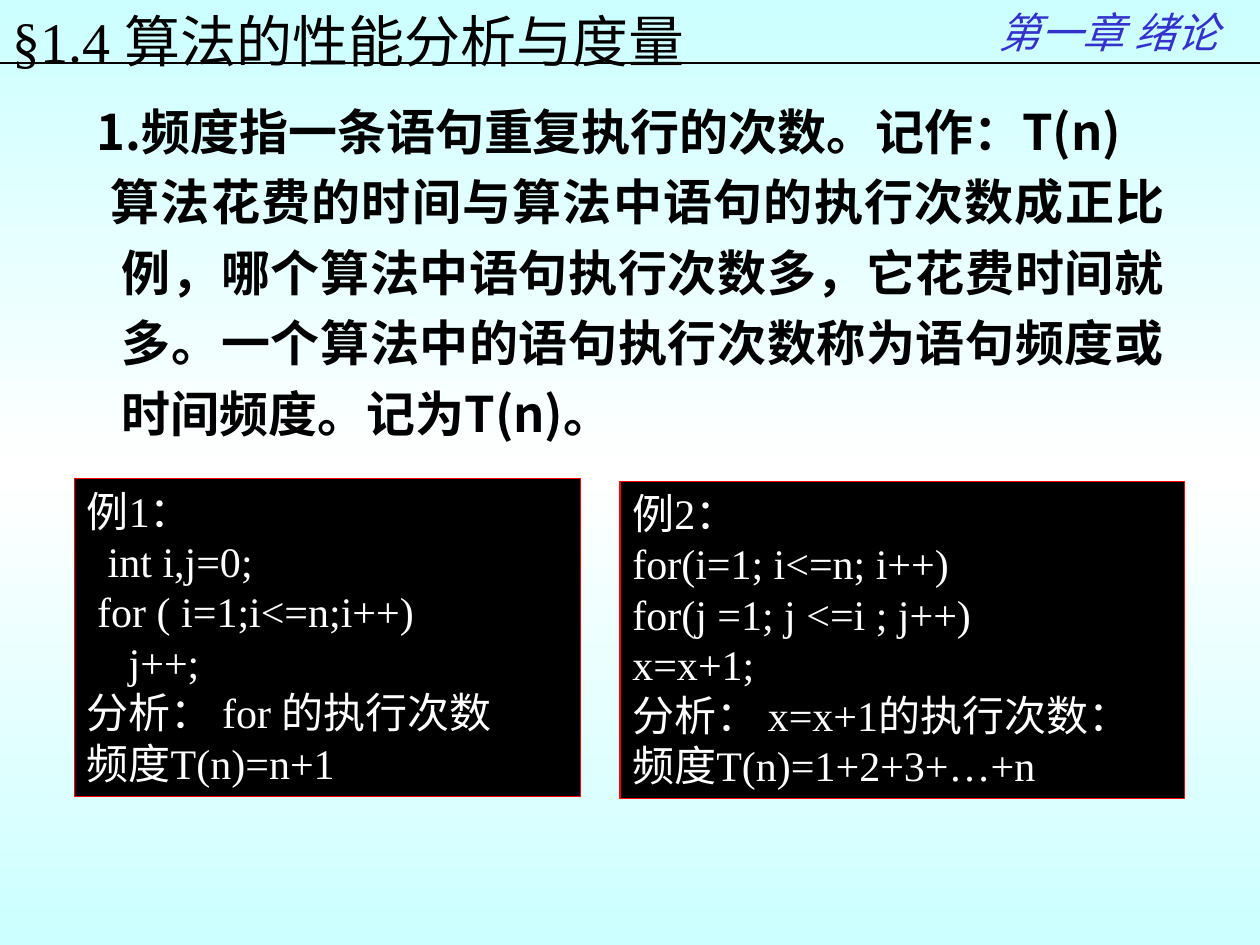
from copy import deepcopy

from lxml.etree import SubElement
from pptx import Presentation
from pptx.dml.color import RGBColor
from pptx.enum.shapes import MSO_CONNECTOR, MSO_SHAPE
from pptx.enum.text import MSO_ANCHOR, MSO_AUTO_SIZE, PP_ALIGN
from pptx.oxml.ns import qn
from pptx.util import Inches, Pt


def color(value):
    return RGBColor.from_string(value)


class Lecture:
    latin = "Times New Roman"
    asian = "Noto Sans CJK SC"
    black, white, red, blue, sky = "000000", "FFFFFF", "FF0000", "3333CC", "CCFFFF"
    columns, rows = 100, 75

    def __init__(self):
        self.deck = Presentation()
        self.deck.slide_width, self.deck.slide_height = Inches(10), Inches(7.5)
        self.page = self.deck.slides.add_slide(self.deck.slide_layouts[6])

    def place(self, left, top, width, height):
        column = self.deck.slide_width / self.columns
        row = self.deck.slide_height / self.rows
        return [round(length) for length in
                (left * column, top * row, width * column, height * row)]

    def background(self):
        fill = self.page.background.fill
        fill.gradient()
        fill.gradient_angle = 90
        stops = self.page._element.find(".//" + qn("a:gsLst"))
        stops.append(deepcopy(stops[0]))
        for stop, position, shade in zip(
                fill.gradient_stops, (0, 0.5, 1), (self.sky, self.white, self.sky)):
            stop.position = position
            stop.color.rgb = color(shade)

    def rule(self, row):
        left, top, width, _ = self.place(0, row, self.columns, 0)
        line = self.page.shapes.add_connector(
            MSO_CONNECTOR.STRAIGHT, left, top, left + width, top)
        line.line.color.rgb = color(self.black)
        line.line.width = Pt(0.75)
        SubElement(line._element.spPr, qn("a:effectLst"))

    def set_lines(self, box, lines, size, shade, font=None, bold=False, italic=False, wrap=True):
        frame = box.text_frame
        frame.word_wrap = wrap
        frame.auto_size = MSO_AUTO_SIZE.SHAPE_TO_FIT_TEXT
        frame.vertical_anchor = MSO_ANCHOR.TOP
        for index, line in enumerate(lines):
            para = frame.add_paragraph() if index else frame.paragraphs[0]
            para.text = line
            para.alignment = PP_ALIGN.LEFT
            para.font.name = font or self.latin
            para.font.size = Pt(size)
            para.font.bold = bold
            para.font.italic = italic
            para.font.color.rgb = color(shade)
            defaults = para._p.pPr.find(qn("a:defRPr"))
            SubElement(defaults, qn("a:ea"), typeface=self.asian)
        return frame.paragraphs

    def text(self, area, lines, size, shade, **style):
        box = self.page.shapes.add_textbox(*self.place(*area))
        return self.set_lines(box, lines, size, shade, **style)

    def definition(self, area, numbered, explained):
        paras = self.text(area, [numbered, explained], 28, self.black,
                          font=self.asian, bold=True)
        for para, first_line in zip(paras, (-0.2, -0.09)):
            para.line_spacing = 1.2
            para._p.pPr.set("marL", str(Inches(0.2)))
            para._p.pPr.set("indent", str(Inches(first_line)))
        paras[1].alignment = PP_ALIGN.JUSTIFY
        properties = paras[0]._p.pPr
        number = SubElement(properties, qn("a:buAutoNum"), type="arabicPeriod")
        properties.find(qn("a:defRPr")).addprevious(number)

    def example(self, area, lines):
        panel = self.page.shapes.add_shape(MSO_SHAPE.RECTANGLE, *self.place(*area))
        panel.shadow.inherit = False
        panel.fill.solid()
        panel.fill.fore_color.rgb = color(self.black)
        panel.line.color.rgb = color(self.red)
        panel.line.width = Pt(0.75)
        self.set_lines(panel, lines, 24, self.white)


def main():
    lecture = Lecture()
    lecture.background()
    lecture.rule(5)
    lecture.text((78.3, 0, 21.7, 5), ["第一章 绪论"], 24, lecture.blue, italic=True)
    lecture.text((0, 0, 57.6, 6.3), ["§1.4 算法的性能分析与度量"], 32, lecture.black, wrap=False)
    lecture.definition(
        (6.7, 6.6, 86.7, 29),
        "频度指一条语句重复执行的次数。记作：T(n)",
        "算法花费的时间与算法中语句的执行次数成正比例，哪个算法中语句执行次数多，"
        "它花费时间就多。一个算法中的语句执行次数称为语句频度或时间频度。记为T(n)。")
    lecture.example((49.2, 38.2, 44.8, 25.2), [
        "例2：", "for(i=1; i<=n; i++)", "for(j =1; j <=i ; j++)", "x=x+1;",
        "分析： x=x+1的执行次数：", "频度T(n)=1+2+3+…+n"])
    lecture.example((5.9, 38, 40.2, 25.2), [
        "例1：", "  int i,j=0;", " for ( i=1;i<=n;i++)", "    j++;",
        "分析： for 的执行次数", "频度T(n)=n+1"])
    lecture.deck.save("out.pptx")


if __name__ == "__main__":
    main()
